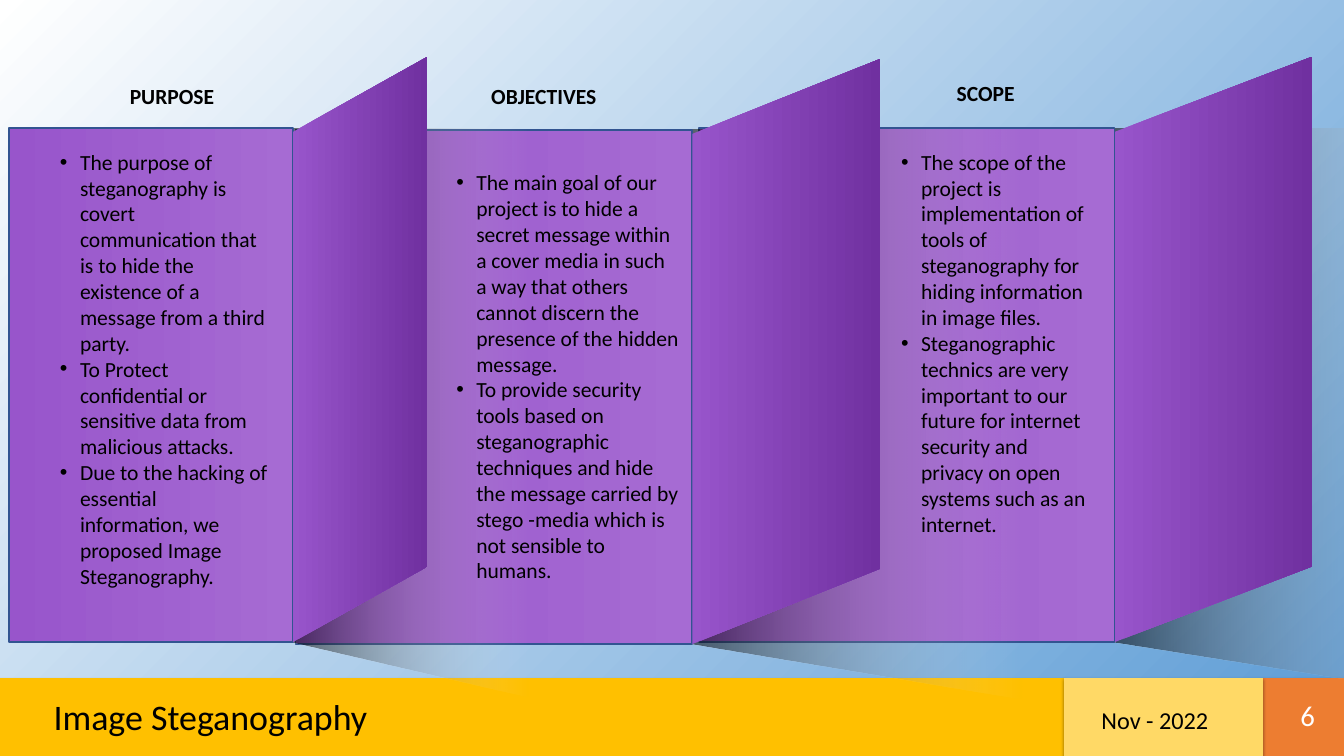
from dataclasses import dataclass

from lxml.etree import SubElement
from pptx import Presentation
from pptx.dml.color import RGBColor
from pptx.enum.shapes import MSO_SHAPE
from pptx.enum.text import MSO_ANCHOR, MSO_AUTO_SIZE, PP_ALIGN
from pptx.oxml.ns import qn
from pptx.util import Inches, Pt

TITLE_ONLY = 5


@dataclass(frozen=True)
class Theme:
    font: str = "Calibri"
    ink: str = "000000"
    light: str = "FFFFFF"
    sky: str = "5B9BD5"
    gold: str = "FFC000"
    pale_gold: str = "FFD966"
    orange: str = "ED7D31"
    violet: str = "9855CB"
    pale_violet: str = "A66BD3"
    deep_violet: str = "7030A0"
    edge: str = "325491"
    title_size: int = 40
    number_size: int = 32
    date_size: int = 27
    body_size: int = 24


@dataclass(frozen=True)
class Panel:
    heading: str
    heading_at: tuple
    left: float
    top: float
    fold: float
    flap_right: float
    shade_width: float
    text_at: tuple
    points: tuple


PANELS = (
    Panel("PURPOSE", (1.91, 1.24), 0.14, 1.98, 4.53, 6.61, 3.66, (0.83, 2.25, 3.43, 6.97), (
        "The purpose of steganography is covert communication that is to hide "
        "the existence of a message from a third party.",
        "To Protect confidential or sensitive data from malicious attacks.",
        "Due to the hacking of essential information, we proposed Image Steganography.")),
    Panel("OBJECTIVES", (7.5, 1.24), 4.57, 2.01, 10.71, 13.62, 5.12, (6.96, 2.57, 3.64, 6.56), (
        "The main goal of our project is to hide a secret message within a cover media "
        "in such a way that others cannot discern the presence of the hidden message.",
        "To provide security tools based on steganographic techniques and hide the "
        "message carried by stego -media which is not sensible to humans.")),
    Panel("SCOPE", (14.7, 1.18), 10.81, 1.98, 17.24, 20.29, 5.36, (13.84, 2.25, 3.18, 6.16), (
        "The scope of the project is implementation of tools of steganography for "
        "hiding information in image files.",
        "Steganographic technics are very important to our future for internet "
        "security and privacy on open systems such as an internet.")),
)


class SlideBuilder:
    def __init__(self, slide, theme):
        self.slide = slide
        self.theme = theme

    def gradient(self, fill, colors, angle=0):
        """Fill with two colours; angle is counter-clockwise."""
        fill.gradient()
        fill.gradient_angle = angle
        for position, (stop, color) in enumerate(zip(fill.gradient_stops, colors)):
            stop.position = position
            stop.color.rgb = RGBColor.from_string(color)

    def polygon(self, points):
        corners = [(Inches(x), Inches(y)) for x, y in points]
        builder = self.slide.shapes.build_freeform(*corners[0])
        builder.add_line_segments(corners[1:], close=True)
        shape = builder.convert_to_shape()
        shape.shadow.inherit = False
        shape.line.fill.background()
        return shape

    def footer_bar(self, left, right, color):
        top, bottom = 10.48, 11.69
        bar = self.polygon([(left, top), (right, top), (right, bottom), (left, bottom)])
        bar.fill.solid()
        bar.fill.fore_color.rgb = RGBColor.from_string(color)
        effects = bar.element.spPr.find(qn("a:effectLst"))
        shadow = SubElement(effects, qn("a:outerShdw"), blurRad=str(Pt(3.5)),
                            dist=str(Pt(2.2)), dir="5400000", rotWithShape="0")
        shade = SubElement(shadow, qn("a:srgbClr"), val=self.theme.ink)
        SubElement(shade, qn("a:alpha"), val="32000")

    def set_text(self, box, lines, size, color=None, bold=False, bullets=False,
                 align=PP_ALIGN.LEFT, anchor=MSO_ANCHOR.TOP):
        frame = box.text_frame
        frame.word_wrap = True
        frame.auto_size = MSO_AUTO_SIZE.NONE
        frame.vertical_anchor = anchor
        for index, line in enumerate(lines):
            para = frame.add_paragraph() if index else frame.paragraphs[0]
            para.alignment = align
            if bullets:
                self.bullet(para)
            span = para.add_run()
            span.text = line
            span.font.name = self.theme.font
            span.font.size = Pt(size)
            span.font.bold = bold
            span.font.color.rgb = RGBColor.from_string(color or self.theme.ink)

    def bullet(self, para):
        properties = para._p.get_or_add_pPr()
        properties.set("marL", str(Inches(0.31)))
        properties.set("indent", str(Inches(-0.31)))
        color = SubElement(properties, qn("a:buClr"))
        SubElement(color, qn("a:srgbClr"), val=self.theme.ink)
        SubElement(properties, qn("a:buFont"), typeface="Arial")
        SubElement(properties, qn("a:buChar"), char="•")

    def text(self, at, lines, size, **style):
        box = self.slide.shapes.add_textbox(*map(Inches, at))
        self.set_text(box, lines, size, **style)

    def title(self, at, words):
        title = self.slide.shapes.title
        title.left, title.top, title.width, title.height = map(Inches, at)
        self.set_text(title, [words], self.theme.title_size)
        # The title sits above the footer bar.
        title.element.getparent().append(title.element)

    def folded_panel(self, panel):
        """Draw the cast shade, the front face and the flap folded back from it."""
        theme, top, fold = self.theme, panel.top, panel.fold
        bottom = top + 7.95
        shade_right = fold + panel.shade_width
        shade = self.polygon([(fold, top), (shade_right, top),
                              (shade_right + 0.02, top + 8.81), (fold, bottom)])
        self.gradient(shade.fill, (theme.light, theme.ink), 180)
        for color, alpha in zip(shade.element.spPr.iter(qn("a:srgbClr")), (0, 54)):
            SubElement(color, qn("a:alpha"), val=str(alpha * 1000))

        face = self.slide.shapes.add_shape(
            MSO_SHAPE.RECTANGLE, Inches(panel.left), Inches(top),
            Inches(fold - panel.left), Inches(7.95))
        face.shadow.inherit = False
        self.gradient(face.fill, (theme.violet, theme.pale_violet))
        face.line.color.rgb = RGBColor.from_string(theme.edge)
        face.line.width = Pt(2)

        flap = self.polygon([(panel.flap_right, top - 1.1), (panel.flap_right, top + 6.78),
                             (fold, bottom), (fold, top + 0.06)])
        self.gradient(flap.fill, (theme.violet, theme.deep_violet))

    def panel_text(self, panel):
        size = self.theme.body_size
        self.text((*panel.heading_at, 2.3, 0.5), [panel.heading], size, bold=True)
        self.text(panel.text_at, panel.points, size, bullets=True)


def main():
    theme = Theme()
    deck = Presentation()
    deck.slide_width, deck.slide_height = Inches(20.79), Inches(11.69)
    page = SlideBuilder(deck.slides.add_slide(deck.slide_layouts[TITLE_ONLY]), theme)
    page.gradient(page.slide.background.fill, (theme.light, theme.sky), 315)

    page.footer_bar(-0.02, 16.46, theme.gold)
    page.footer_bar(19.54, 20.79, theme.orange)
    page.footer_bar(16.46, 19.54, theme.pale_gold)
    page.title((0.73, 10.69, 12.33, 0.77), "Image Steganography")
    page.text((19.81, 10.84, 0.63, 0.42), ["6"], theme.number_size, color=theme.light,
              align=PP_ALIGN.RIGHT, anchor=MSO_ANCHOR.MIDDLE)
    page.text((16.94, 10.86, 2.45, 0.56), ["Nov - 2022"], theme.date_size)

    # Each panel's flap overlaps the panel to its right.
    for panel in reversed(PANELS):
        page.folded_panel(panel)
    for panel in PANELS:
        page.panel_text(panel)
    deck.save("out.pptx")


if __name__ == "__main__":
    main()
